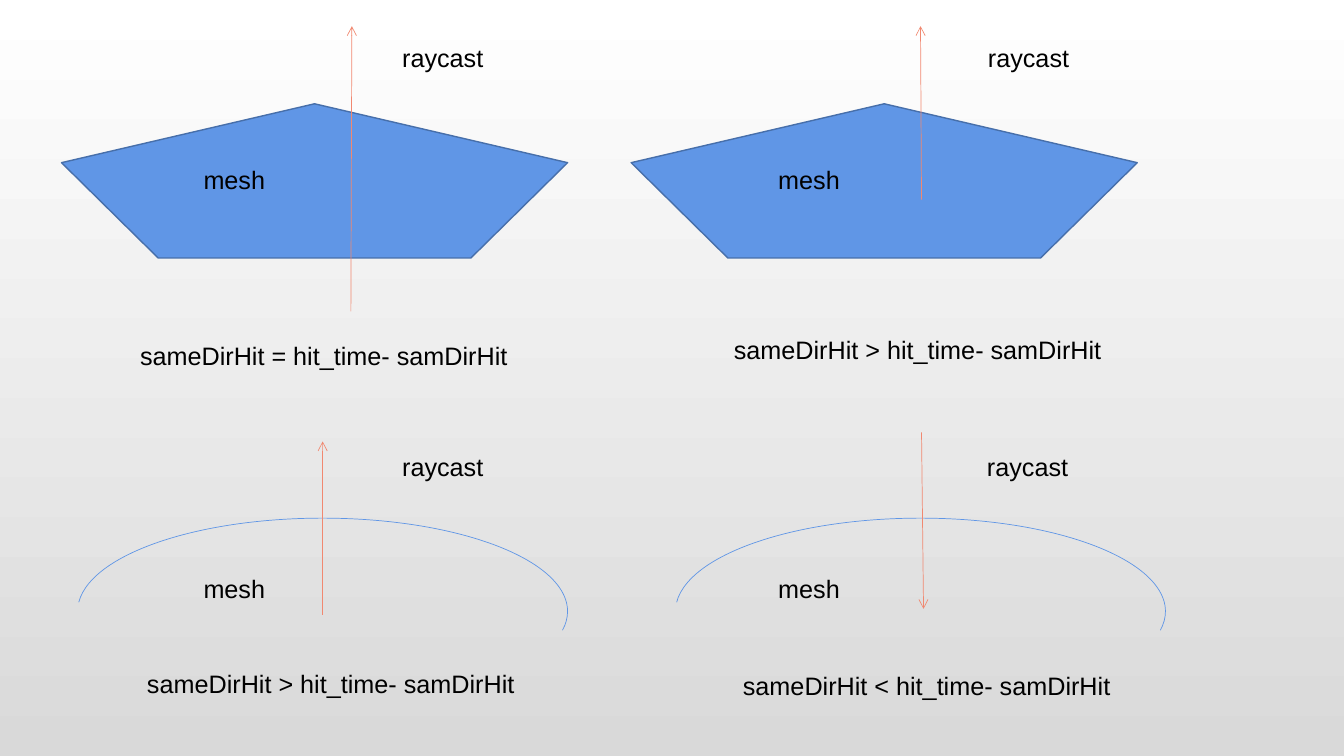
import pptx
import pptx.dml.color
import pptx.enum.shapes
import pptx.enum.text
import pptx.oxml.ns
import pptx.util
from lxml import etree

WIDTH, HEIGHT = 13.33, 7.5
COLUMN, ROW = 5.7, 4.06
BLUE, BLUE_EDGE, RAY_RED, BLACK = "6096E6", "476FAA", "F18870", "000000"

Inches = pptx.util.Inches
Pt = pptx.util.Pt
MSO_SHAPE = pptx.enum.shapes.MSO_SHAPE


def set_color(color, value):
    color.rgb = pptx.dml.color.RGBColor.from_string(value)


def set_line(line, value, width):
    set_color(line.color, value)
    line.width = Pt(width)


def add_background(slide):
    fill = slide.background.fill
    fill.gradient()
    fill.gradient_angle = 270
    for stop, value in zip(fill.gradient_stops, ("FFFFFF", "D9D9D9")):
        set_color(stop.color, value)


def add_label(slide, text, left, top, width):
    sp = slide.shapes.add_textbox(Inches(left), Inches(top), Inches(width), Inches(0.4))
    tf = sp.text_frame
    tf.word_wrap = True
    tf.auto_size = pptx.enum.text.MSO_AUTO_SIZE.SHAPE_TO_FIT_TEXT
    p = tf.paragraphs[0]
    p.text = text
    p.font.name = "Arial"
    p.font.size = Pt(18)
    set_color(p.font.color, BLACK)


def add_closed_mesh(slide, left, top):
    sp = slide.shapes.add_shape(MSO_SHAPE.REGULAR_PENTAGON, Inches(left), Inches(top),
                                Inches(5.02), Inches(1.53))
    sp.shadow.inherit = False
    sp.fill.solid()
    set_color(sp.fill.fore_color, BLUE)
    set_line(sp.line, BLUE_EDGE, 1)


def add_open_mesh(slide, left, top):
    sp = slide.shapes.add_shape(MSO_SHAPE.ARC, Inches(left), Inches(top),
                                Inches(4.86), Inches(1.85))
    sp.shadow.inherit = False
    sp.adjustments[0] = 109.287
    sp.adjustments[1] = 2.703
    sp.fill.background()
    set_line(sp.line, BLUE, 0.5)


def add_ray(slide, x1, y1, x2, y2):
    ray = slide.shapes.add_connector(pptx.enum.shapes.MSO_CONNECTOR.STRAIGHT,
                                     Inches(x1), Inches(y1), Inches(x2), Inches(y2))
    set_line(ray.line, RAY_RED, 0.5)
    qn = pptx.oxml.ns.qn
    etree.SubElement(ray.line._get_or_add_ln(), qn("a:tailEnd"), type="arrow")
    etree.SubElement(ray._element.spPr, qn("a:effectLst"))


def add_case(slide, column, row, add_mesh, mesh_at, ray, ray_label_x, formula):
    """Place one raycast case; all its positions are relative to its grid cell."""
    x, y = column * COLUMN, row * ROW
    add_mesh(slide, x + mesh_at[0], y + mesh_at[1])
    x1, y1, x2, y2 = ray
    add_ray(slide, x + x1, y + y1, x + x2, y + y2)
    add_label(slide, "mesh", x + 1.92, y + 1.58, 0.95)
    add_label(slide, "raycast", x + ray_label_x, y + 0.37, 1.42)
    sign, left, top, width = formula
    add_label(slide, f"sameDirHit {sign} hit_time- samDirHit", x + left, y + top, width)


def main():
    prs = pptx.Presentation()
    prs.slide_width, prs.slide_height = Inches(WIDTH), Inches(HEIGHT)
    slide = prs.slides.add_slide(prs.slide_layouts[6])
    add_background(slide)
    cases = [
        (0, 0, add_closed_mesh, (0.61, 1.03), (3.48, 3.09, 3.49, 0.26), 3.89,
         ("=", 1.29, 3.33, 4.38)),
        (1, 0, add_closed_mesh, (0.56, 1.03), (3.44, 1.98, 3.43, 0.26), 4,
         (">", 1.48, 3.27, 3.93)),
        (0, 1, add_open_mesh, (0.77, 1.08), (3.2, 2.04, 3.2, 0.32), 3.89,
         (">", 1.36, 2.52, 3.94)),
        (1, 1, add_open_mesh, (1, 1.08), (3.44, 0.23, 3.46, 1.98), 3.99,
         ("<", 1.57, 2.54, 3.93)),
    ]
    for case in cases:
        add_case(slide, *case)
    prs.save("out.pptx")


if __name__ == "__main__":
    main()
